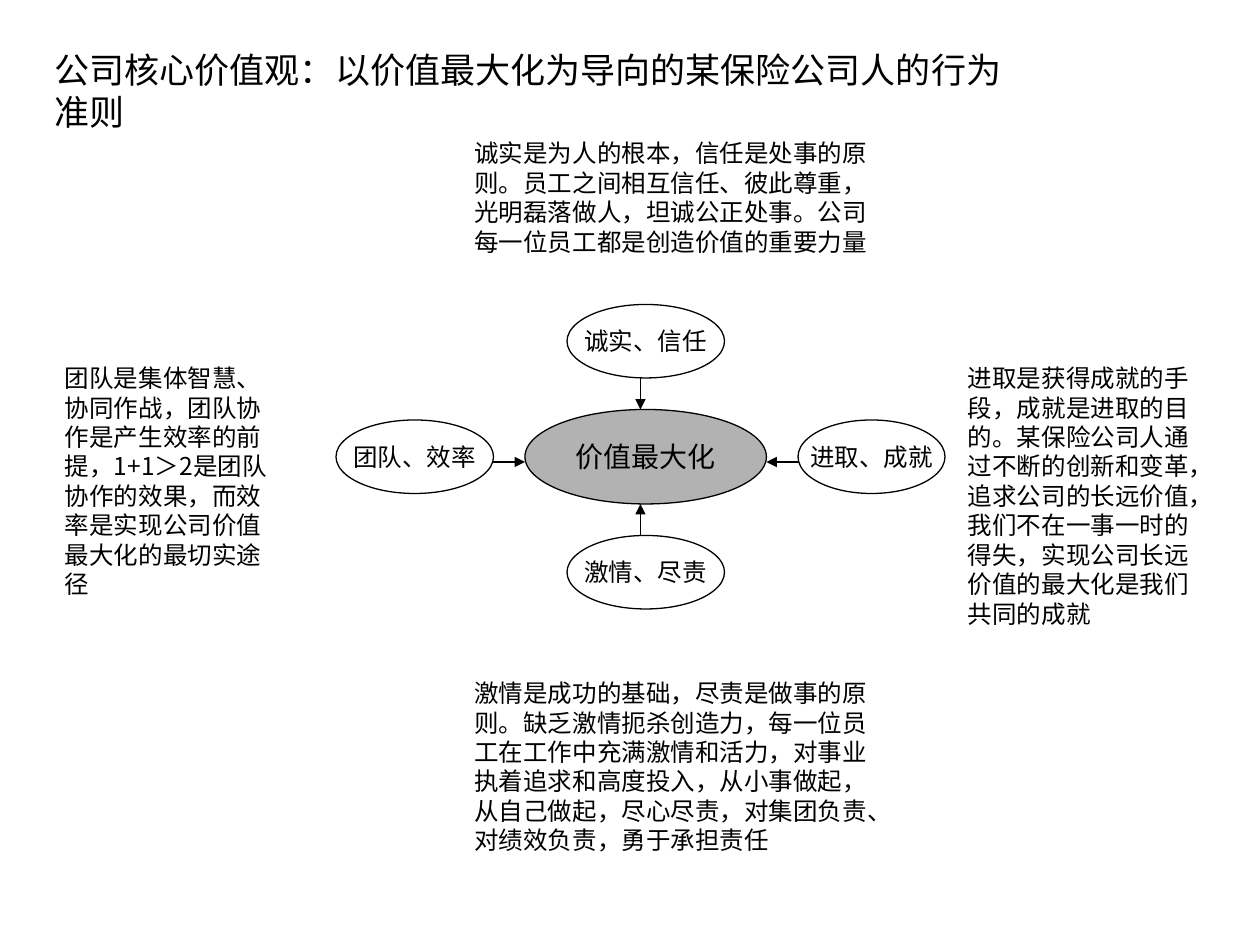
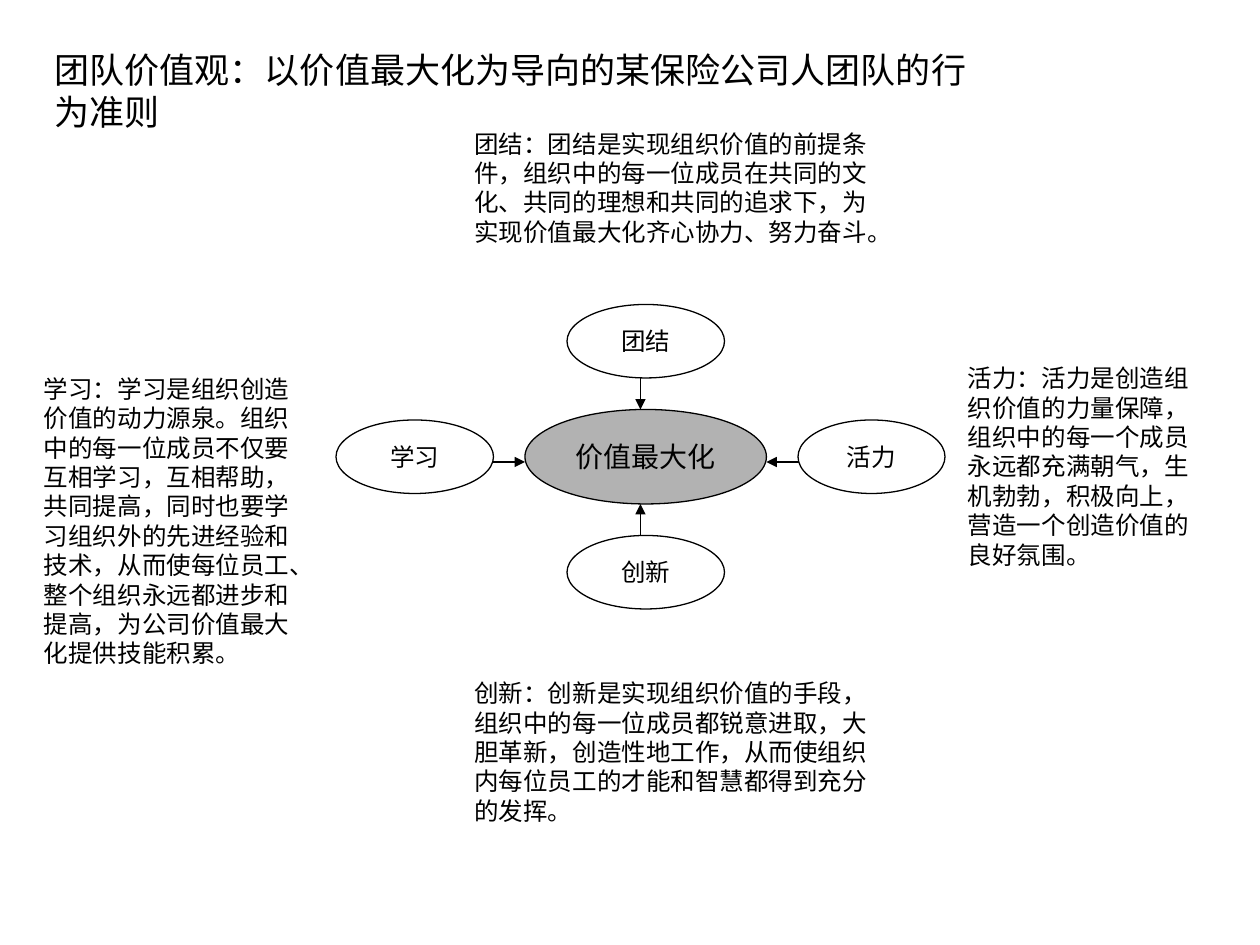
"""Build two value diagrams: four principles pointing at one central goal."""
from dataclasses import dataclass

from lxml.etree import SubElement
from pptx import Presentation
from pptx.dml.color import RGBColor
from pptx.enum.shapes import MSO_CONNECTOR, MSO_SHAPE
from pptx.enum.text import MSO_ANCHOR, MSO_AUTO_SIZE, PP_ALIGN
from pptx.oxml.ns import qn
from pptx.util import Pt


@dataclass(frozen=True)
class Theme:
    ink: RGBColor = RGBColor(0, 0, 0)
    paper: RGBColor = RGBColor(255, 255, 255)
    goal_fill: RGBColor = RGBColor(178, 178, 178)
    latin_font: str = "Times New Roman"
    chinese_font: str = "Noto Sans CJK SC"
    title_size: int = 20
    goal_size: int = 16
    body_size: int = 14
    line_width: float = 0.75
    leading: float = 1.2


theme = Theme()


def write(shape, text, size=theme.body_size, font=theme.latin_font,
          align=PP_ALIGN.LEFT, anchor=MSO_ANCHOR.TOP, wrap=True, leading=None):
    frame = shape.text_frame
    frame.auto_size = MSO_AUTO_SIZE.NONE
    frame.word_wrap = wrap
    frame.vertical_anchor = anchor
    frame.margin_left = frame.margin_right = Pt(7.2)
    frame.margin_top = frame.margin_bottom = Pt(3.6)
    paragraph = frame.paragraphs[0]
    paragraph.alignment = align
    paragraph.space_before = Pt(0)
    if leading:
        paragraph.line_spacing = Pt(size * leading)
    run = paragraph.add_run()
    run.text = text
    run.font.size = Pt(size)
    run.font.color.rgb = theme.ink
    run.font.name = font
    east_asian = SubElement(run._r.get_or_add_rPr(), qn("a:ea"))
    east_asian.set("typeface", theme.chinese_font)


def add_ellipse(slide, box, text, fill, size):
    ellipse = slide.shapes.add_shape(MSO_SHAPE.OVAL, *map(Pt, box))
    ellipse.shadow.inherit = False
    ellipse.fill.solid()
    ellipse.fill.fore_color.rgb = fill
    ellipse.line.color.rgb = theme.ink
    ellipse.line.width = Pt(theme.line_width)
    write(ellipse, text, size=size, align=PP_ALIGN.CENTER,
          anchor=MSO_ANCHOR.MIDDLE, wrap=False)


goal_box = (300, 234, 138, 54)
principle_boxes = [
    (324, 174, 90, 42),
    (192, 240, 90, 42),
    (456, 240, 84, 42),
    (324, 306, 90, 42),
]
arrows = [
    (366, 216, 366, 234),
    (276, 264, 300, 264),
    (468, 264, 438, 264),
    (366, 306, 366, 288),
]

pages = [
    {
        "title": "公司核心价值观：以价值最大化为导向的某保险公司人的行为准则",
        "title_width": 558,
        "principles": ["诚实、信任", "团队、效率", "进取、成就", "激情、尽责"],
        "notes": [
            ((264, 75.6, 252, 75),
             "诚实是为人的根本，信任是处事的原则。员工之间相互信任、彼此尊重，"
             "光明磊落做人，坦诚公正处事。公司每一位员工都是创造价值的重要力量"),
            ((30, 204, 138, 142),
             "团队是集体智慧、协同作战，团队协作是产生效率的前提，"
             "1+1＞2是团队协作的效果，而效率是实现公司价值最大化的最切实途径"),
            ((546, 204, 146, 158),
             "进取是获得成就的手段，成就是进取的目的。某保险公司人通过不断的创新和变革，"
             "追求公司的长远价值，我们不在一事一时的得失，"
             "实现公司长远价值的最大化是我们共同的成就"),
            ((264, 384, 240, 108),
             "激情是成功的基础，尽责是做事的原则。缺乏激情扼杀创造力，"
             "每一位员工在工作中充满激情和活力，对事业执着追求和高度投入，从小事做起，"
             "从自己做起，尽心尽责，对集团负责、对绩效负责，勇于承担责任"),
        ],
    },
    {
        "title": "团队价值观：以价值最大化为导向的某保险公司人团队的行为准则",
        "title_width": 552,
        "principles": ["团结", "学习", "活力", "创新"],
        "notes": [
            ((264, 70, 252, 75),
             "团结：团结是实现组织价值的前提条件，组织中的每一位成员在共同的文化、"
             "共同的理想和共同的追求下，为实现价值最大化齐心协力、努力奋斗。"),
            ((18, 210, 156, 176),
             "学习：学习是组织创造价值的动力源泉。组织中的每一位成员不仅要互相学习，"
             "互相帮助，共同提高，同时也要学习组织外的先进经验和技术，从而使每位员工、"
             "整个组织永远都进步和提高，为公司价值最大化提供技能积累。"),
            ((546, 204, 146, 125),
             "活力：活力是创造组织价值的力量保障，组织中的每一个成员永远都充满朝气，"
             "生机勃勃，积极向上，营造一个创造价值的良好氛围。"),
            ((264, 384, 240, 91),
             "创新：创新是实现组织价值的手段，组织中的每一位成员都锐意进取，大胆革新，"
             "创造性地工作，从而使组织内每位员工的才能和智慧都得到充分的发挥。"),
        ],
    },
]

presentation = Presentation()
presentation.slide_width = Pt(720)
presentation.slide_height = Pt(540)
title_only = presentation.slide_layouts[5]

for page in pages:
    slide = presentation.slides.add_slide(title_only)
    title = slide.shapes.title
    title.left, title.top = Pt(24), Pt(24)
    title.width, title.height = Pt(page["title_width"]), Pt(55)
    write(title, page["title"], size=theme.title_size, leading=theme.leading)

    for box, text in page["notes"]:
        note = slide.shapes.add_textbox(*map(Pt, box))
        write(note, text, font=theme.chinese_font, leading=theme.leading)

    for ends in arrows:
        arrow = slide.shapes.add_connector(MSO_CONNECTOR.STRAIGHT, *map(Pt, ends))
        arrow.line.color.rgb = theme.ink
        arrow.line.width = Pt(theme.line_width)
        SubElement(arrow.line._get_or_add_ln(), qn("a:tailEnd")).set("type", "triangle")
        SubElement(arrow._element.spPr, qn("a:effectLst"))

    add_ellipse(slide, goal_box, "价值最大化", theme.goal_fill, theme.goal_size)
    for box, principle in zip(principle_boxes, page["principles"]):
        add_ellipse(slide, box, principle, theme.paper, theme.body_size)

presentation.save("out.pptx")
